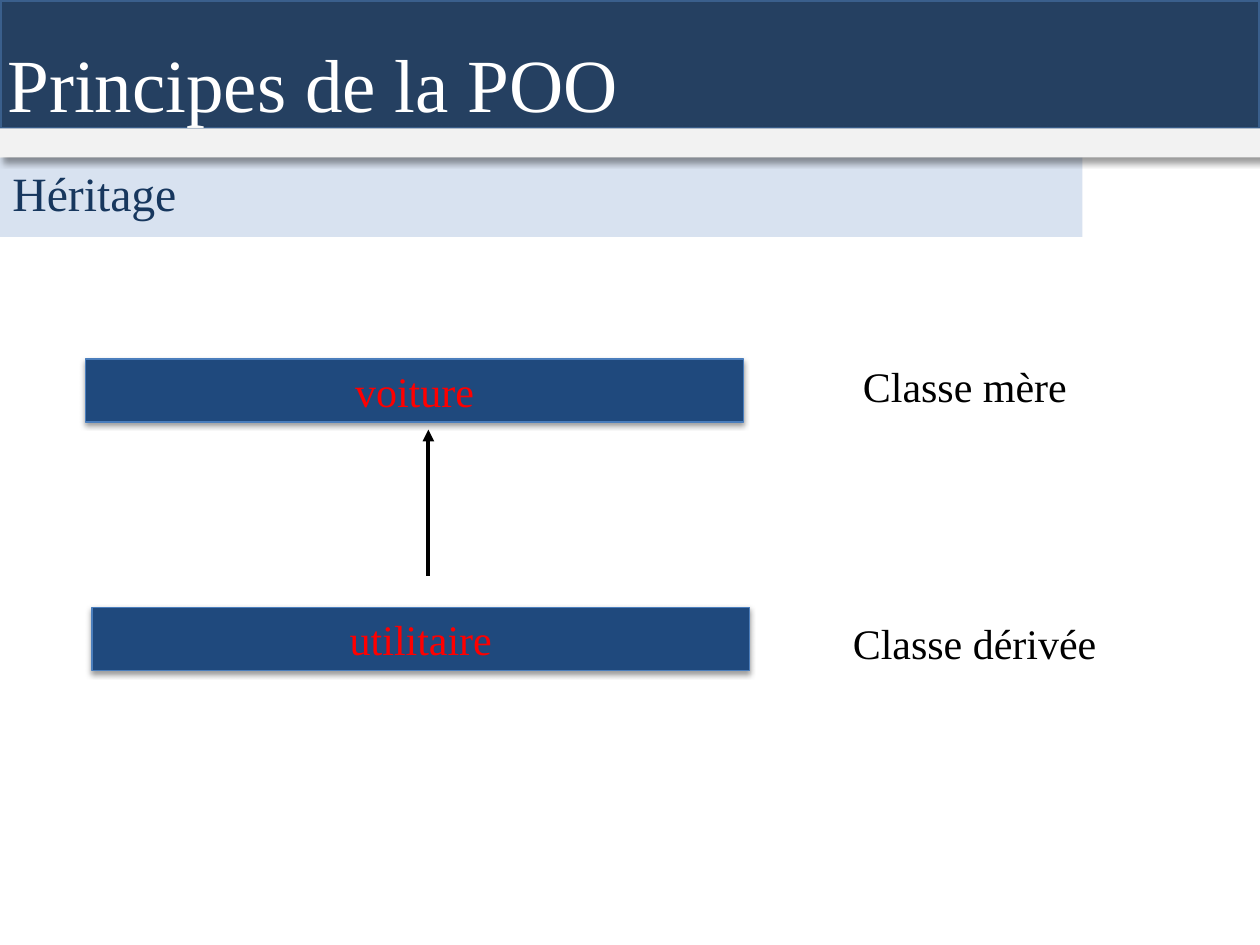
"""Build the slide on inheritance: a parent class and the class derived from it."""
from dataclasses import dataclass
from typing import Optional

from lxml.etree import SubElement
from pptx import Presentation
from pptx.dml.color import RGBColor
from pptx.enum.shapes import MSO_CONNECTOR, MSO_SHAPE
from pptx.enum.text import MSO_ANCHOR, PP_ALIGN
from pptx.oxml.ns import qn
from pptx.util import Inches, Pt


@dataclass(frozen=True)
class Theme:
    font: str = "Times New Roman"
    title_size: float = 42.9
    subtitle_size: float = 27.3
    label_size: float = 24
    band: str = "254061"
    band_line: str = "3A5F8C"
    strip: str = "F2F2F2"
    subtitle_band: str = "D8E2F0"
    subtitle: str = "17375E"
    box: str = "1F497D"
    box_line: str = "4B7EBC"
    box_text: str = "FF0000"
    white: str = "FFFFFF"
    black: str = "000000"


@dataclass(frozen=True)
class Area:
    col: float
    row: float
    cols: float
    rows: float


@dataclass(frozen=True)
class Shadow:
    alpha: int
    blur: float
    dist: float
    angle: int


@dataclass(frozen=True)
class ClassRow:
    name: str
    box: Area
    role: str
    label: Area


THEME = Theme()
CELL = Inches(0.1)
BAND_SHADOW = Shadow(40, 4, 3, 45)
BOX_SHADOW = Shadow(38, 3.1, 1.6, 90)
CLASSES = (
    ClassRow("voiture", Area(6.8, 28.5, 52.2, 5), "Classe mère", Area(67.5, 28.1, 21.9, 5)),
    ClassRow("utilitaire", Area(7.3, 48.2, 52.2, 5), "Classe dérivée", Area(66.7, 48.5, 24.3, 5)),
)


def grid(*cells: float) -> list[int]:
    """Turn grid cells into slide lengths."""
    return [round(c * CELL) for c in cells]


def place(area: Area) -> list[int]:
    """Give left, top, width and height of an area."""
    return grid(area.col, area.row, area.cols, area.rows)


def rgb(value: str) -> RGBColor:
    """Turn a hex value into a colour."""
    return RGBColor.from_string(value)


def add_shadow(sp, shadow: Shadow) -> None:
    """Give a shape an outer shadow."""
    sp_pr = sp.element.spPr
    effects = sp_pr.find(qn("a:effectLst"))
    outer = SubElement(effects, qn("a:outerShdw"), blurRad=str(Pt(shadow.blur)),
                       dist=str(Pt(shadow.dist)), dir=str(shadow.angle * 60000),
                       rotWithShape="0")
    color = SubElement(outer, qn("a:srgbClr"), val=THEME.black)
    SubElement(color, qn("a:alpha"), val=str(shadow.alpha * 1000))


def add_rect(s, area: Area, fill: str, line: Optional[str] = None,
             width: float = 0.75, shadow: Optional[Shadow] = None):
    """Draw a filled rectangle."""
    sp = s.shapes.add_shape(MSO_SHAPE.RECTANGLE, *place(area))
    sp.shadow.inherit = False
    sp.fill.solid()
    sp.fill.fore_color.rgb = rgb(fill)
    if line:
        sp.line.color.rgb = rgb(line)
        sp.line.width = Pt(width)
    else:
        sp.line.fill.background()
    if shadow:
        add_shadow(sp, shadow)
    return sp


def write(sp, text: str, size: float, color: str, align=PP_ALIGN.LEFT, anchor=MSO_ANCHOR.TOP):
    """Write one run of text in a shape."""
    tf = sp.text_frame
    tf.word_wrap = True
    tf.vertical_anchor = anchor
    p = tf.paragraphs[0]
    p.alignment = align
    r = p.add_run()
    r.text = text
    r.font.name = THEME.font
    r.font.size = Pt(size)
    r.font.color.rgb = rgb(color)
    return p


def add_label(s, area: Area, text: str, size: float, color: str) -> None:
    """Add a text box."""
    write(s.shapes.add_textbox(*place(area)), text, size, color)


def add_class(s, row: ClassRow) -> None:
    """Draw a class box with its role beside it."""
    sp = add_rect(s, row.box, THEME.box, THEME.box_line, shadow=BOX_SHADOW)
    write(sp, row.name, THEME.label_size, THEME.box_text, PP_ALIGN.CENTER, MSO_ANCHOR.MIDDLE)
    add_label(s, row.label, row.role, THEME.label_size, THEME.black)


def add_arrow(s, col: float, start: float, end: float) -> None:
    """Draw a vertical arrow between two rows."""
    cxn = s.shapes.add_connector(MSO_CONNECTOR.STRAIGHT, *grid(col, start, col, end))
    cxn.line.color.rgb = rgb(THEME.black)
    cxn.line.width = Pt(2.25)
    SubElement(cxn.line._get_or_add_ln(), qn("a:tailEnd"), type="triangle")
    SubElement(cxn.element.spPr, qn("a:effectLst"))


def add_title(s, area: Area, text: str) -> None:
    """Format the title placeholder and bring it above its band."""
    sp = s.shapes.title
    sp.left, sp.top, sp.width, sp.height = place(area)
    p = write(sp, text, THEME.title_size, THEME.white, anchor=MSO_ANCHOR.BOTTOM)
    p.line_spacing = 0.9
    sp.element.getparent().append(sp.element)


def main() -> None:
    """Build and save the slide."""
    prs = Presentation()
    prs.slide_width, prs.slide_height = grid(100, 75)
    s = prs.slides.add_slide(prs.slide_layouts[5])
    for row in CLASSES:
        add_class(s, row)
    add_arrow(s, 34, 45.7, 34.1)
    add_rect(s, Area(0, 0, 100, 10.2), THEME.band, THEME.band_line, 2, BAND_SHADOW)
    add_title(s, Area(-0.4, 3, 72.9, 7.7), "Principes de la POO")
    add_rect(s, Area(0, 12.5, 85.9, 6.3), THEME.subtitle_band)
    add_rect(s, Area(0, 10.2, 100, 2.3), THEME.strip, shadow=BAND_SHADOW)
    add_label(s, Area(0, 12.5, 72.9, 7.7), "Héritage", THEME.subtitle_size, THEME.subtitle)
    prs.save("out.pptx")


if __name__ == "__main__":
    main()
